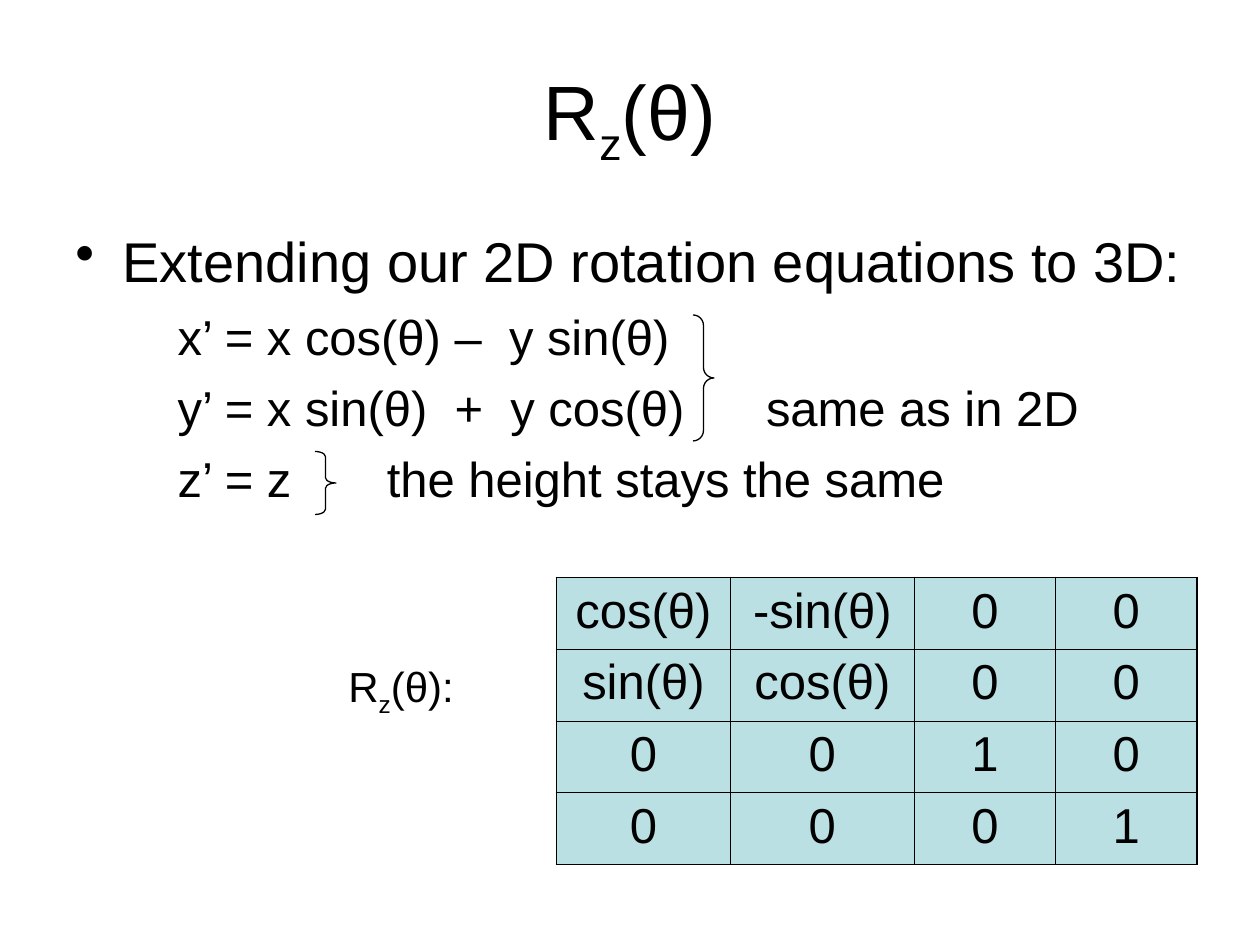
from dataclasses import dataclass

from lxml import etree
from pptx import Presentation
from pptx.dml.color import RGBColor
from pptx.enum import shapes, text
from pptx.oxml import ns
from pptx.util import Pt


@dataclass(frozen=True)
class Theme:
    font: str = "Arial"
    ink: RGBColor = RGBColor(0, 0, 0)
    cell: RGBColor = RGBColor(0xBB, 0xE0, 0xE3)
    title: int = 44
    bullet: int = 32
    equation: int = 28
    label: int = 24
    brace_line: float = 0.75
    inner_line: float = 0.45
    outer_line: float = 1.08


def add(parent, tag, **attrs):
    return etree.SubElement(parent, ns.qn(tag), {k: str(v) for k, v in attrs.items()})


class Deck:
    def __init__(self, theme, slide):
        self.t = theme
        self.s = slide

    def run(self, p, words, size):
        r = p.add_run()
        r.text = words
        r.font.name = self.t.font
        r.font.size = Pt(size)
        r.font.color.rgb = self.t.ink
        return r

    def rotation(self, p, size):
        self.run(p, "R", size)
        self.run(p, "z", size).font._element.set("baseline", "-25000")
        self.run(p, "(θ)", size)

    def equation(self, p, *parts):
        for part in parts:
            if isinstance(part, str):
                self.run(p, part, self.t.equation)
            else:
                gap = self.run(p, " ", self.t.equation)
                gap.font._element.set("spc", str(round(part * 100)))

    def textbox(self, x, y, w, h, anchor=text.MSO_ANCHOR.TOP):
        tf = self.s.shapes.add_textbox(Pt(x), Pt(y), Pt(w), Pt(h)).text_frame
        tf.word_wrap = True
        tf.vertical_anchor = anchor
        return tf

    def layout(self, p, size, before=0, margin=0, indent=0, bullet=None):
        pPr = p._p.get_or_add_pPr()
        pPr.set("marL", str(Pt(margin)))
        pPr.set("indent", str(Pt(indent)))
        if before:
            p.space_before = Pt(before)
        if bullet:
            add(pPr, "a:buChar", char=bullet)
        p.font.size = Pt(size)
        return p

    def brace(self, x, y, w, h, curve):
        sp = self.s.shapes.add_shape(shapes.MSO_SHAPE.RIGHT_BRACE, Pt(x), Pt(y), Pt(w), Pt(h))
        sp.shadow.inherit = False
        sp.adjustments[0] = curve
        sp.fill.background()
        sp.line.color.rgb = self.t.ink
        sp.line.width = Pt(self.t.brace_line)

    def border(self, cell, side, width):
        ln = add(cell._tc.get_or_add_tcPr(), f"a:{side}", w=Pt(width))
        add(add(ln, "a:solidFill"), "a:srgbClr", val=self.t.ink)

    def matrix(self, x, y, widths, row_h, rows):
        n, m = len(rows), len(widths)
        tbl = self.s.shapes.add_table(n, m, Pt(x), Pt(y), Pt(sum(widths)), Pt(row_h * n)).table
        for col, w in zip(tbl.columns, widths):
            col.width = Pt(w)
        for i, values in enumerate(rows):
            tbl.rows[i].height = Pt(row_h)
            for j, value in enumerate(values):
                cell = tbl.cell(i, j)
                edges = {"lnL": j == 0, "lnR": j == m - 1, "lnT": i == 0, "lnB": i == n - 1}
                for side, outer in edges.items():
                    self.border(cell, side, self.t.outer_line if outer else self.t.inner_line)
                cell.fill.solid()
                cell.fill.fore_color.rgb = self.t.cell
                p = cell.text_frame.paragraphs[0]
                p.alignment = text.PP_ALIGN.CENTER
                self.run(p, value, self.t.equation)


def main():
    prs = Presentation()
    prs.slide_width, prs.slide_height = Pt(720), Pt(540)
    t = Theme()
    d = Deck(t, prs.slides.add_slide(prs.slide_layouts[6]))

    title = d.textbox(36, 21.6, 648, 90, text.MSO_ANCHOR.MIDDLE).paragraphs[0]
    title.alignment = text.PP_ALIGN.CENTER
    d.rotation(title, t.title)

    body = d.textbox(36, 126, 654, 356.4)
    heading = d.layout(body.paragraphs[0], t.bullet, margin=27, indent=-27, bullet="•")
    d.run(heading, "Extending our 2D rotation equations to 3D:", t.bullet)

    space = 7.78
    equations = [
        ("x’ = x cos(θ) –", space, "y sin(θ)"),
        ("y’ = x sin(θ)", space, "+", space, "y cos(θ)", 5 * space, "same as in 2D"),
        ("z’ = z", 6 * space, "the height stays the same"),
    ]
    for parts in equations:
        p = d.layout(body.add_paragraph(), t.equation, before=7, indent=58.5)
        d.equation(p, *parts)

    label = d.layout(body.add_paragraph(), t.label, before=87.8, indent=156)
    d.rotation(label, t.label)
    d.run(label, ":", t.label)

    d.brace(396, 180, 12, 72, 0.5)
    d.brace(180, 258, 12, 36, 0.25)
    d.matrix(318, 330, [99.4, 105.1, 80.9, 80.6], 41, [
        ["cos(θ)", "-sin(θ)", "0", "0"],
        ["sin(θ)", "cos(θ)", "0", "0"],
        ["0", "0", "1", "0"],
        ["0", "0", "0", "1"],
    ])
    prs.save("out.pptx")


if __name__ == "__main__":
    main()
